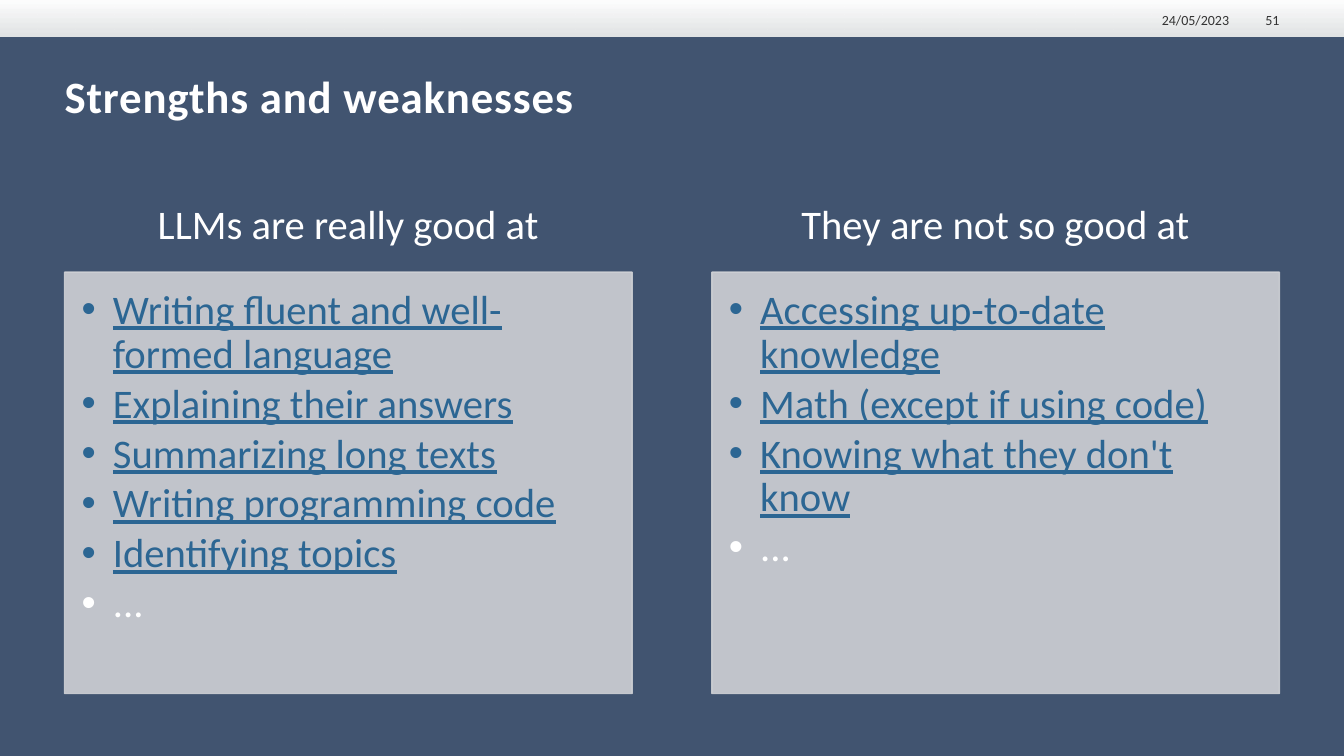
import pptx
import pptx.dml.color
import pptx.enum.shapes
import pptx.enum.text
import pptx.oxml.ns
import pptx.util
from lxml import etree
from pptx.util import Inches

FONT = "Calibri"
NAVY, GREY, BLUE, WHITE = "415470", "CFD1D5", "2C6693", "FFFFFF"
MARGIN, COLUMN_WIDTH, COLUMN_STEP = 0.64, 5.63, 6.42
COLUMNS = [
    ("LLMs are really good at",
     ["Writing fluent and well-formed language", "Explaining their answers",
      "Summarizing long texts", "Writing programming code",
      "Identifying topics", "..."]),
    ("They are not so good at",
     ["Accessing up-to-date knowledge", "Math (except if using code)",
      "Knowing what they don't know", "..."]),
]


def colour(value):
    return pptx.dml.color.RGBColor.from_string(value)


def set_opacity(shape, value, percent):
    """Make each use of one colour in the shape partly transparent."""
    for element in shape._element.spPr.iter(pptx.oxml.ns.qn("a:srgbClr")):
        if element.get("val") == value:
            alpha = etree.SubElement(element, pptx.oxml.ns.qn("a:alpha"))
            alpha.set("val", str(percent * 1000))


def place(shape, left, top, width, height):
    shape.left, shape.top = Inches(left), Inches(top)
    shape.width, shape.height = Inches(width), Inches(height)


def paint(shape, value):
    shape.fill.solid()
    shape.fill.fore_color.rgb = colour(value)
    shape.line.color.rgb = colour(value)
    shape.line.width = pptx.util.Pt(1)


def set_frame(shape, anchor, insets=(0, 0, 0, 0)):
    frame = shape.text_frame
    frame.word_wrap = True
    frame.auto_size = pptx.enum.text.MSO_AUTO_SIZE.NONE
    frame.vertical_anchor = anchor
    (frame.margin_left, frame.margin_top,
     frame.margin_right, frame.margin_bottom) = map(Inches, insets)
    return frame


def format_runs(paragraph, size, value, bold=False, underline=False):
    for run in paragraph.runs:
        run.font.name = FONT
        run.font.size = pptx.util.Pt(size)
        run.font.bold = bold
        run.font.underline = underline
        run.font.color.rgb = colour(value)


def add_top_band(slide, width):
    band = slide.shapes.add_shape(
        pptx.enum.shapes.MSO_SHAPE.RECTANGLE, 0, 0, width, Inches(0.36))
    band.shadow.inherit = False
    band.line.fill.background()
    band.fill.gradient()
    band.fill.gradient_angle = 270
    for stop, position, value in zip(band.fill.gradient_stops, (0, 1), (WHITE, "EEEFEE")):
        stop.position = position
        stop.color.rgb = colour(value)
    set_opacity(band, "EEEFEE", 93)


def add_band_label(slide, text, left, width):
    box = slide.shapes.add_textbox(
        Inches(left), Inches(0.09), Inches(width), Inches(0.19))
    frame = set_frame(box, pptx.enum.text.MSO_ANCHOR.BOTTOM)
    frame.text = text
    paragraph = frame.paragraphs[0]
    paragraph.alignment = pptx.enum.text.PP_ALIGN.RIGHT
    format_runs(paragraph, 10, "333333")


def fill_title(title, text):
    place(title, MARGIN, 0.68, 12.04, 0.94)
    frame = set_frame(title, pptx.enum.text.MSO_ANCHOR.TOP)
    frame.text = text
    paragraph = frame.paragraphs[0]
    paragraph.alignment = pptx.enum.text.PP_ALIGN.LEFT
    format_runs(paragraph, 32, WHITE, bold=True)
    paragraph.runs[0].font._element.set("spc", "60")


def fill_heading(heading, text, left):
    place(heading, left, 1.79, COLUMN_WIDTH, 0.91)
    paint(heading, NAVY)
    frame = set_frame(heading, pptx.enum.text.MSO_ANCHOR.MIDDLE, (0.23, 0.13, 0.23, 0.13))
    frame.text = text
    paragraph = frame.paragraphs[0]
    paragraph.alignment = pptx.enum.text.PP_ALIGN.CENTER
    paragraph.line_spacing = 0.9
    paragraph.space_before = pptx.util.Pt(0)
    format_runs(paragraph, 29, WHITE)


def add_bullet(paragraph):
    properties = paragraph._p.get_or_add_pPr()
    properties.set("marL", str(Inches(0.31)))
    properties.set("indent", str(Inches(-0.31)))
    font = etree.SubElement(properties, pptx.oxml.ns.qn("a:buFont"))
    font.set("typeface", "Arial")
    bullet = etree.SubElement(properties, pptx.oxml.ns.qn("a:buChar"))
    bullet.set("char", "•")


def fill_list(body, items, left):
    place(body, left, 2.7, COLUMN_WIDTH, 4.18)
    paint(body, GREY)
    set_opacity(body, GREY, 90)
    frame = set_frame(body, pptx.enum.text.MSO_ANCHOR.TOP, (0.17, 0.17, 0.23, 0.25))
    frame.text = "\n".join(items)
    for paragraph in frame.paragraphs:
        paragraph.level = 1
        add_bullet(paragraph)
        paragraph.line_spacing = 0.9
        paragraph.space_before = pptx.util.Pt(0)
        paragraph.space_after = pptx.util.Pt(4.3)
        is_link = paragraph.text != "..."
        format_runs(paragraph, 29, BLUE if is_link else WHITE, underline=is_link)


def main():
    presentation = pptx.Presentation()
    presentation.slide_width = Inches(13.33)
    presentation.slide_height = Inches(7.5)
    comparison_layout = presentation.slide_layouts[4]
    slide = presentation.slides.add_slide(comparison_layout)
    slide.background.fill.solid()
    slide.background.fill.fore_color.rgb = colour(NAVY)

    add_top_band(slide, presentation.slide_width)
    add_band_label(slide, "24/05/2023", 11.3, 0.89)
    add_band_label(slide, "51", 12.27, 0.42)
    title, *bodies = slide.placeholders
    fill_title(title, "Strengths and weaknesses")
    for index, (heading, items) in enumerate(COLUMNS):
        left = MARGIN + index * COLUMN_STEP
        fill_heading(bodies[2 * index], heading, left)
        fill_list(bodies[2 * index + 1], items, left)

    presentation.save("out.pptx")


if __name__ == "__main__":
    main()
